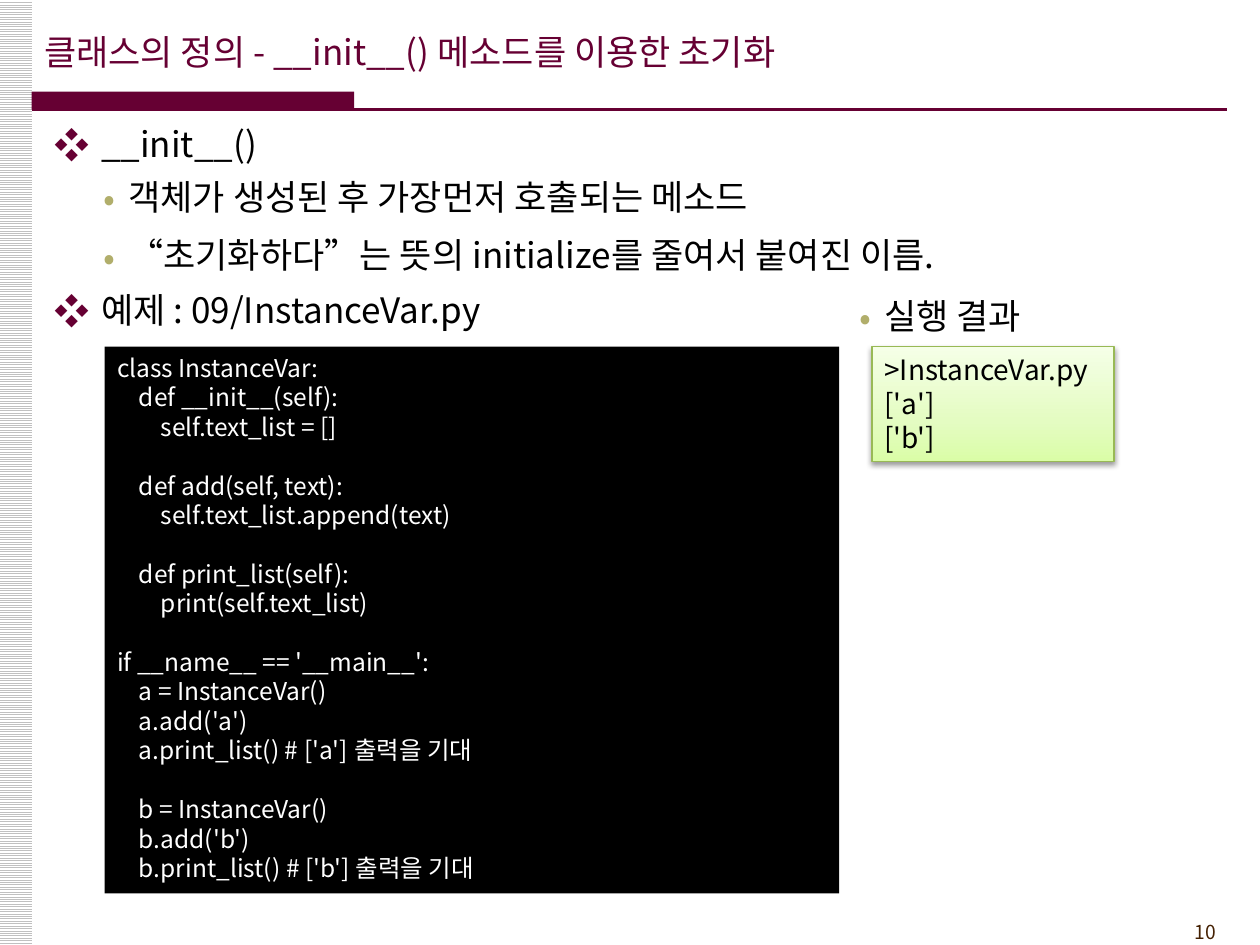
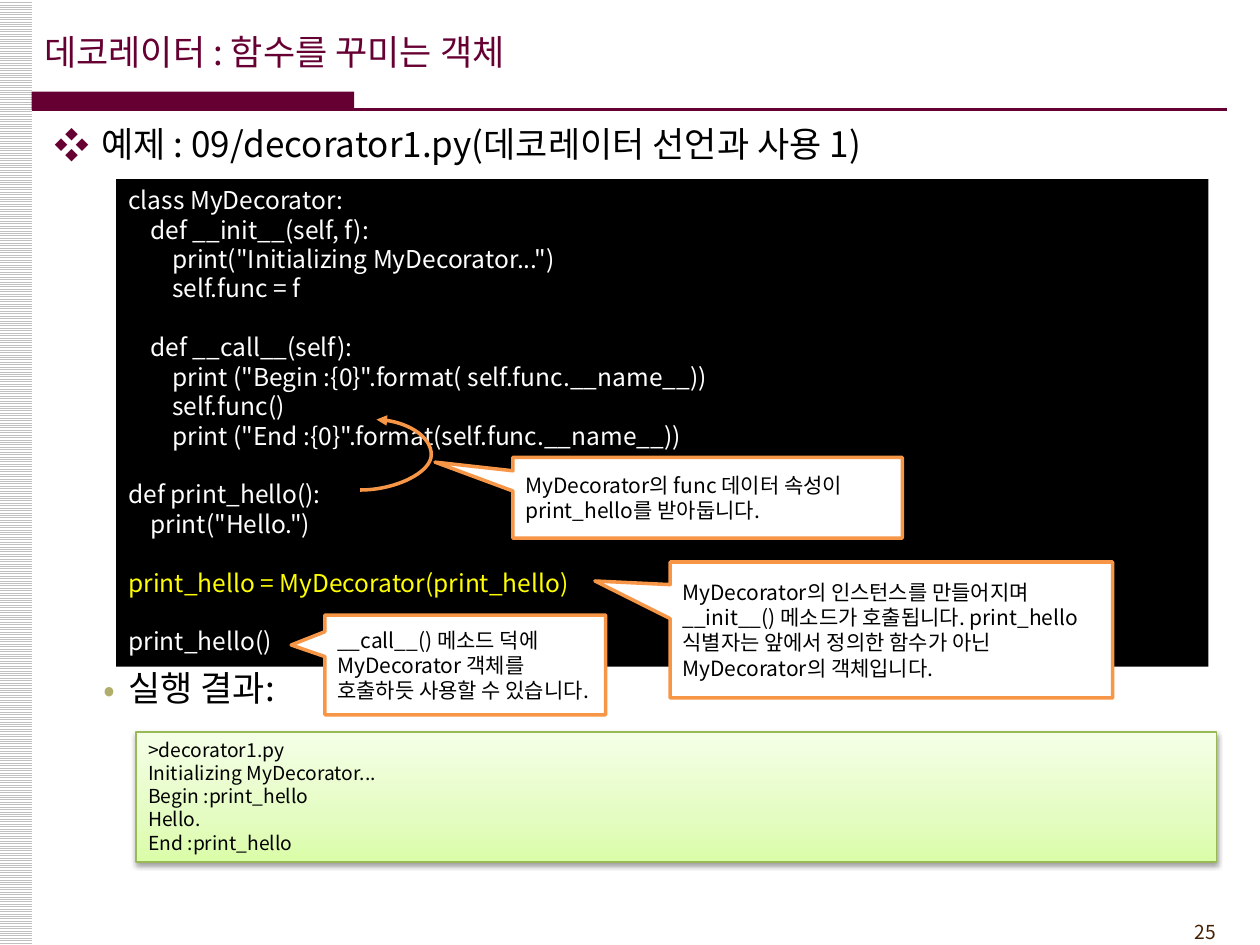
from lxml.etree import SubElement
from pptx import Presentation
from pptx.dml.color import RGBColor
from pptx.enum.dml import MSO_PATTERN
from pptx.enum.shapes import MSO_CONNECTOR as Connector, MSO_SHAPE as Shape
from pptx.enum.text import MSO_ANCHOR as Anchor, PP_ALIGN as Align
from pptx.oxml import parse_xml
from pptx.oxml.ns import nsdecls, qn
from pptx.util import Cm, Pt

FONT = "Noto Sans CJK KR"
WINE, ORANGE, GREEN = "660033", "F79646", "98B955"
BLACK, WHITE, YELLOW = "000000", "FFFFFF", "FFFF00"
GRAY, BROWN, OLIVE = "C0C0C0", "452103", "B1AE6B"
RESULT_STOPS = [(0, "DAFDA7"), (35, "E4FCC2"), (100, "F5FFE7")]
# bullet character, colour, left margin, hanging indent, line spacing, space after
BULLETS = [("❖", WINE, 0.95, 0.95, 1.0, 0), ("•", OLIVE, 1.5, 0.5, 1.1, 3)]

INSTANCE_CODE = """class InstanceVar:
    def __init__(self):
        self.text_list = []

    def add(self, text):
        self.text_list.append(text)

    def print_list(self):
        print(self.text_list)

if __name__ == '__main__':
    a = InstanceVar()
    a.add('a')
    a.print_list() # ['a'] 출력을 기대

    b = InstanceVar()
    b.add('b')
    b.print_list() # ['b'] 출력을 기대"""

DECORATOR_CODE = """class MyDecorator:
    def __init__(self, f):
        print("Initializing MyDecorator...")
        self.func = f

    def __call__(self):
        print ("Begin :{0}".format( self.func.__name__))
        self.func()
        print ("End :{0}".format(self.func.__name__))

def print_hello():
    print("Hello.")

print_hello = MyDecorator(print_hello)

print_hello()"""


def color(hex_string):
    return RGBColor.from_string(hex_string)


def lengths(*values):
    return [Cm(value) for value in values]


class Deck:
    """Holds the presentation, its style and the slide being filled."""

    def __init__(self):
        self.presentation = Presentation()
        self.presentation.slide_width = Cm(25.4)
        self.presentation.slide_height = Cm(19.05)
        self.slide = None

    def start_slide(self, title, number):
        layout = self.presentation.slide_layouts[6]
        self.slide = self.presentation.slides.add_slide(layout)
        band = self.shape((0, 0, 0.64, 19.05)).fill
        band.patterned()
        band.pattern = MSO_PATTERN.LIGHT_HORIZONTAL
        band.fore_color.rgb = color(GRAY)
        band.back_color.rgb = color(WHITE)
        self.shape((0.64, 1.85, 6.5, 0.36), WINE)
        self.connector(Connector.STRAIGHT, (0.64, 2.21, 24.74, 2.21), WINE, 1.5)
        frame = self.text((0.64, 0.23, 21, 1.6), title, 20, WINE)
        frame.vertical_anchor = Anchor.MIDDLE
        frame = self.text((22.66, 18.42, 2.11, 0.74), number, 11, BROWN)
        frame.paragraphs[0].alignment = Align.RIGHT

    def shape(self, box, fill=None, line=None, width=0.75, kind=Shape.RECTANGLE):
        shape = self.slide.shapes.add_shape(kind, *lengths(*box))
        shape.shadow.inherit = False
        if fill:
            shape.fill.solid()
            shape.fill.fore_color.rgb = color(fill)
        if line:
            shape.line.color.rgb = color(line)
            shape.line.width = Pt(width)
        else:
            shape.line.fill.background()
        return shape

    def connector(self, kind, ends, line, width):
        connector = self.slide.shapes.add_connector(kind, *lengths(*ends))
        connector.line.color.rgb = color(line)
        connector.line.width = Pt(width)
        SubElement(connector._element.spPr, qn("a:effectLst"))
        return connector

    def fill_frame(self, frame, text, size, hex_string):
        frame.word_wrap = True
        frame.text = text
        for paragraph in frame.paragraphs:
            paragraph.alignment = Align.LEFT
            for run in paragraph.runs:
                run.font.size = Pt(size)
                run.font.name = FONT
                run.font.color.rgb = color(hex_string)
                SubElement(run.font._element, qn("a:ea"), typeface=FONT)
            if not paragraph.runs:
                end = SubElement(paragraph._p, qn("a:endParaRPr"), sz=str(size * 100))
                for script in ("a:latin", "a:ea"):
                    SubElement(end, qn(script), typeface=FONT)
        return frame

    def text(self, box, text, size, hex_string):
        frame = self.slide.shapes.add_textbox(*lengths(*box)).text_frame
        return self.fill_frame(frame, text, size, hex_string)

    def bullets(self, box, items):
        """Set (level, text) items as a bulleted list."""
        frame = self.text(box, "\n".join(text for _, text in items), 20, BLACK)
        for index, (paragraph, (level, _)) in enumerate(zip(frame.paragraphs, items)):
            character, hue, margin, hanging, spacing, after = BULLETS[level]
            paragraph.level = level
            paragraph.line_spacing = spacing
            paragraph.space_before = Pt(4 if index else 0)
            paragraph.space_after = Pt(after)
            properties = paragraph._p.get_or_add_pPr()
            properties.set("marL", str(Cm(margin)))
            properties.set("indent", str(-Cm(hanging)))
            bullet_color = SubElement(properties, qn("a:buClr"))
            SubElement(bullet_color, qn("a:srgbClr"), val=hue)
            SubElement(properties, qn("a:buFont"), typeface=FONT)
            SubElement(properties, qn("a:buChar"), char=character)

    def panel(self, shape, text, size, hex_string):
        frame = self.fill_frame(shape.text_frame, text, size, hex_string)
        frame.vertical_anchor = Anchor.TOP
        return frame

    def code(self, box, text, highlighted=None):
        frame = self.panel(self.shape(box, BLACK), text, 14, WHITE)
        for paragraph in frame.paragraphs:
            if paragraph.text == highlighted:
                paragraph.runs[0].font.color.rgb = color(YELLOW)

    def result(self, box, text, size):
        """Draw program output on a green gradient with a soft shadow."""
        shape = self.shape(box, WHITE, GREEN)
        properties = shape._element.spPr
        stops = "".join(
            f'<a:gs pos="{place * 1000}"><a:srgbClr val="{hue}"/></a:gs>'
            for place, hue in RESULT_STOPS)
        gradient = parse_xml(
            f'<a:gradFill {nsdecls("a")} rotWithShape="1"><a:gsLst>{stops}</a:gsLst>'
            '<a:lin ang="16200000" scaled="0"/></a:gradFill>')
        properties.replace(properties.find(qn("a:solidFill")), gradient)
        shadow = SubElement(properties.find(qn("a:effectLst")), qn("a:outerShdw"),
                            blurRad=str(Pt(3.1)), dist=str(Pt(1.6)), dir="5400000",
                            rotWithShape="0")
        shade = SubElement(shadow, qn("a:srgbClr"), val=BLACK)
        SubElement(shade, qn("a:alpha"), val="38000")
        self.panel(shape, text, size, BLACK)

    def callout(self, box, tip, text):
        """Draw a callout whose tip is given as fractions from the box centre."""
        shape = self.shape(box, WHITE, ORANGE, 2, Shape.RECTANGULAR_CALLOUT)
        shape.adjustments[0], shape.adjustments[1] = tip
        frame = self.fill_frame(shape.text_frame, text, 12, BLACK)
        frame.vertical_anchor = Anchor.MIDDLE

    def curved_arrow(self, ends, bend):
        arrow = self.connector(Connector.CURVE, ends, ORANGE, 2)
        properties = arrow._element.spPr
        guides = properties.find(qn("a:prstGeom")).get_or_add_avLst()
        SubElement(guides, qn("a:gd"), name="adj1", fmla=f"val {round(bend * 100000)}")
        SubElement(properties.get_or_add_ln(), qn("a:tailEnd"), type="triangle")


def add_init_slide(deck):
    deck.start_slide("클래스의 정의 - __init__() 메소드를 이용한 초기화", "10")
    deck.bullets((0.84, 2.34, 24.13, 4.6), [
        (0, "__init__()"),
        (1, "객체가 생성된 후 가장먼저 호출되는 메소드"),
        (1, "“초기화하다”는 뜻의 initialize를 줄여서 붙여진 이름."),
        (0, "예제 : 09/InstanceVar.py"),
    ])
    deck.code((2.11, 6.99, 14.81, 11.02), INSTANCE_CODE)
    deck.result((17.58, 6.99, 4.88, 2.31), ">InstanceVar.py\n['a']\n['b']", 16)
    deck.bullets((16.08, 5.72, 6.15, 1.2), [(1, "실행 결과")])


def add_decorator_slide(deck):
    deck.start_slide("데코레이터 : 함수를 꾸미는 객체", "25")
    deck.bullets((0.84, 2.34, 24.13, 1.2),
                 [(0, "예제 : 09/decorator1.py(데코레이터 선언과 사용 1)")])
    deck.bullets((0.84, 13.23, 6.15, 1.2), [(1, "실행 결과:")])
    deck.code((2.34, 3.61, 22.02, 9.83), DECORATOR_CODE,
              highlighted="print_hello = MyDecorator(print_hello)")
    deck.curved_arrow((7.26, 9.88, 7.59, 8.46), 4.35)
    deck.callout((10.34, 9.22, 7.85, 1.63), (-0.7, -0.44),
                 "MyDecorator의 func 데이터 속성이 print_hello를 받아둡니다.")
    deck.callout((6.55, 12.4, 5.66, 2.01), (-0.62, -0.2),
                 "__call__() 메소드 덕에 MyDecorator 객체를 호출하듯 사용할 수 있습니다.")
    deck.callout((13.51, 11.33, 8.92, 2.74), (-0.67, -0.36),
                 "MyDecorator의 인스턴스를 만들어지며 __init__() 메소드가 호출됩니다. "
                 "print_hello 식별자는 앞에서 정의한 함수가 아닌 MyDecorator의 객체입니다.")
    deck.result((2.74, 14.76, 21.79, 2.62),
                ">decorator1.py\nInitializing MyDecorator...\nBegin :print_hello\n"
                "Hello.\nEnd :print_hello", 11)


def main():
    deck = Deck()
    add_init_slide(deck)
    add_decorator_slide(deck)
    deck.presentation.save("out.pptx")


if __name__ == "__main__":
    main()
